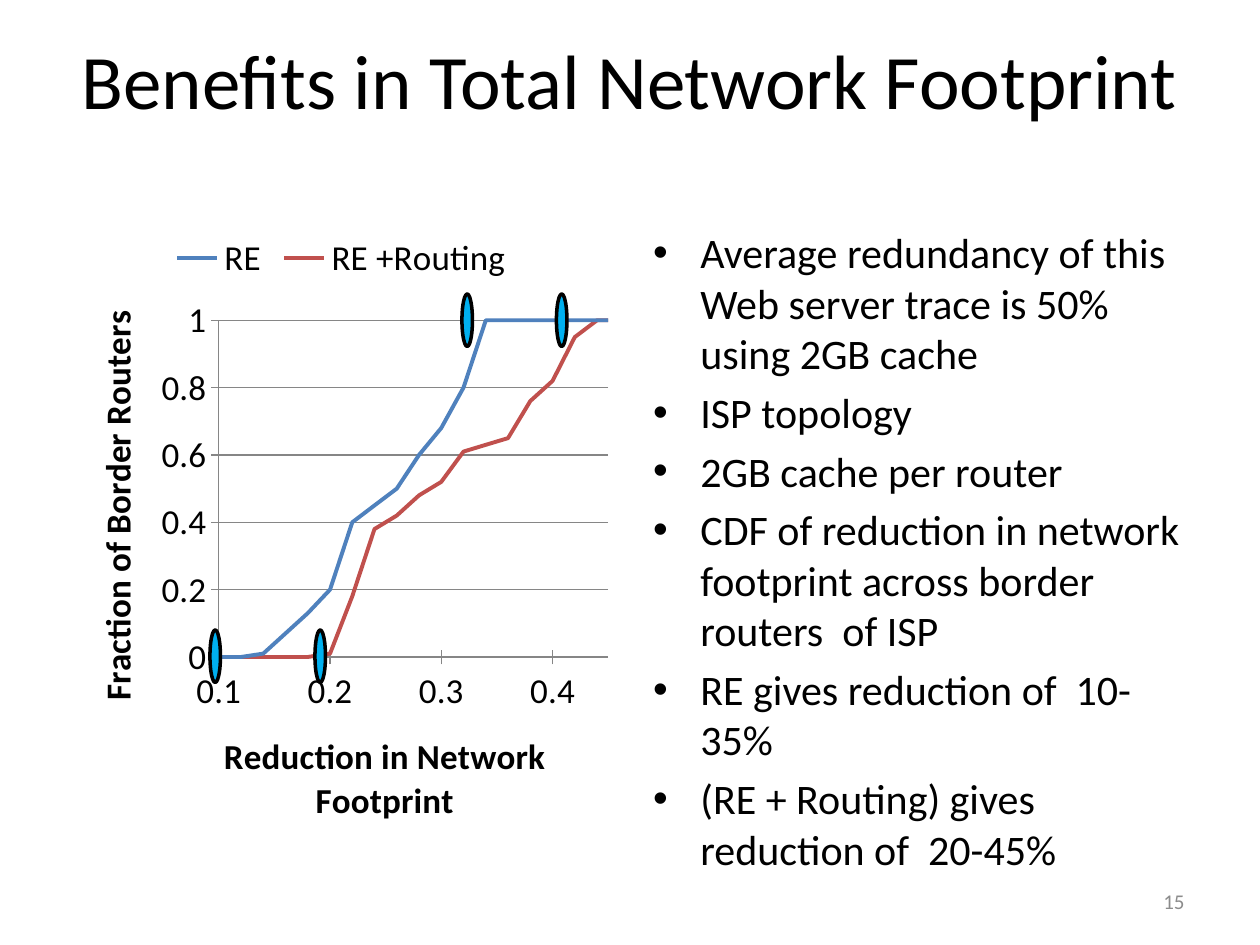
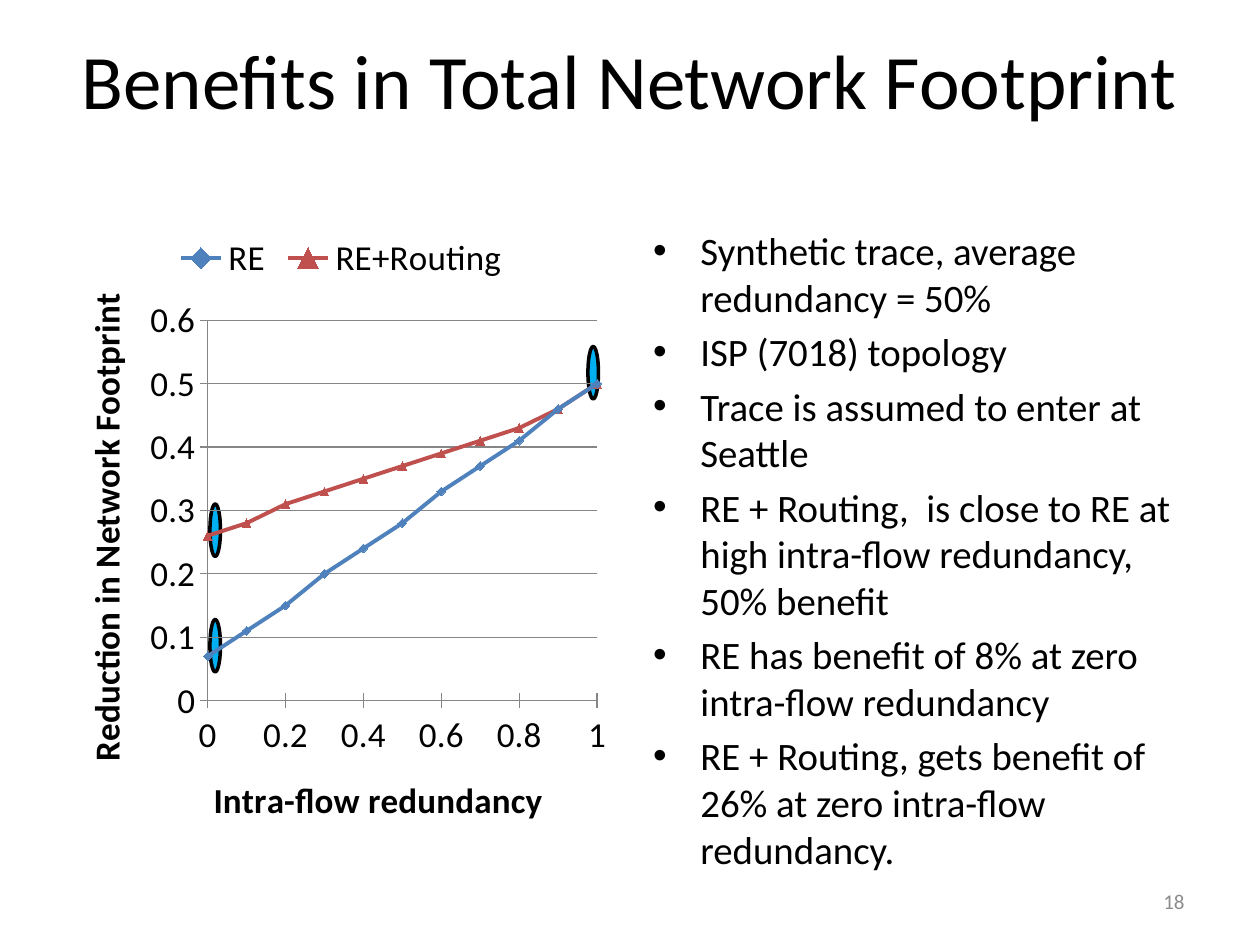
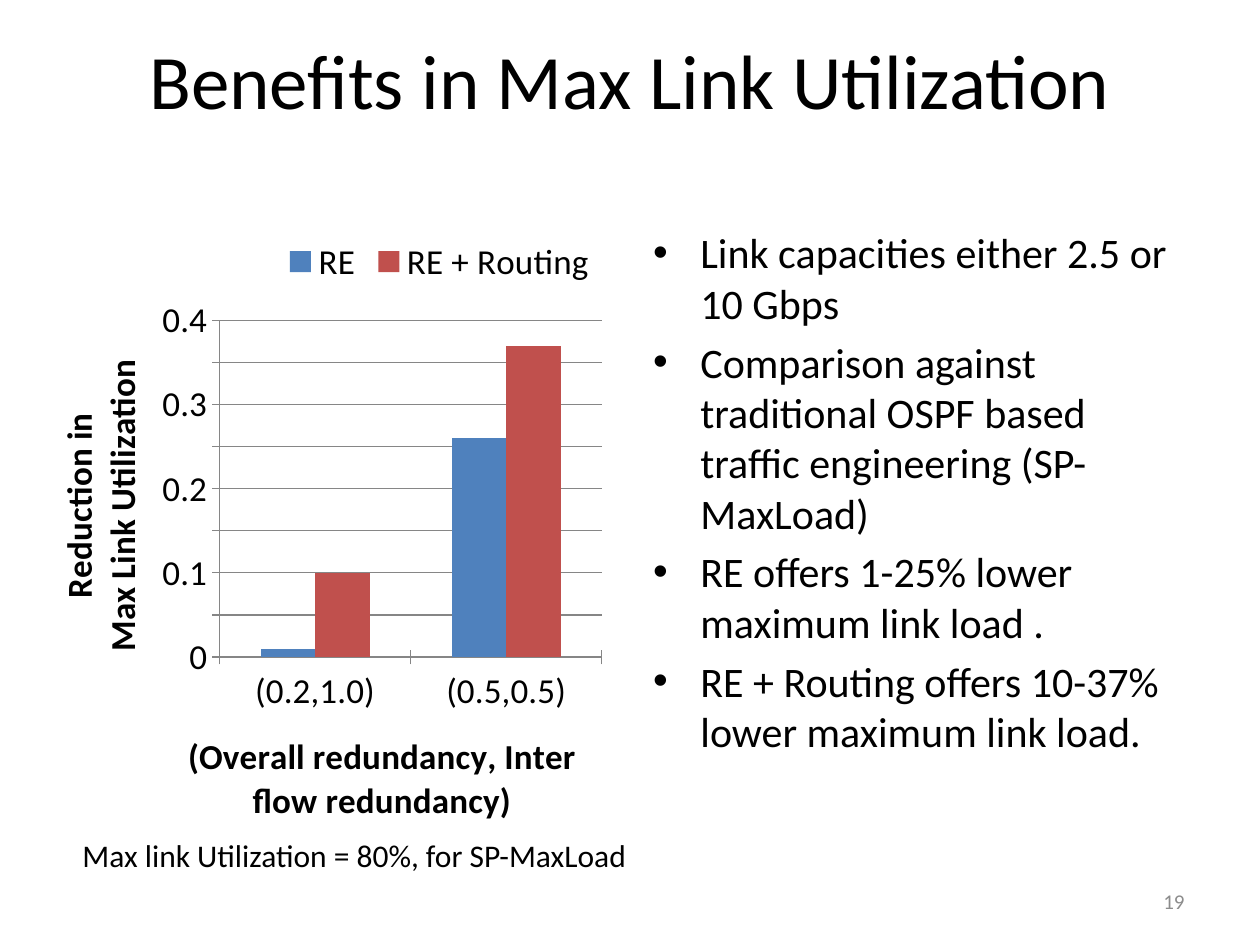
from dataclasses import dataclass
from pptx import Presentation, util as u
from pptx.chart import data
from pptx.dml.color import RGBColor
from pptx.enum import chart as kinds, shapes, text
from pptx.oxml import parse_xml
from pptx.oxml.ns import nsdecls, qn


@dataclass(frozen=True)
class Theme:
    font: str = "Calibri"
    ink: str = "000000"
    grey: str = "8C8C8C"
    grid: str = "868686"
    mark: str = "00B0F0"
    hues: tuple = ("4F81BD", "C0504D")
    title: float = 44
    body: float = 24
    chart: float = 20
    note: float = 18
    page: float = 12


def tint(code):
    return RGBColor.from_string(code)


def write(frame, lines, size, color, font, align=None, anchor=None, bold=None):
    frame.text = "\n".join(lines)
    if anchor is not None:
        frame.vertical_anchor = anchor
    for para in frame.paragraphs:
        if align is not None:
            para.alignment = align
        for run in para.runs:
            run.font.size = u.Pt(size)
            run.font.name = font
            run.font.bold = bold
            run.font.color.rgb = tint(color)


def layout(inner=False, **sides):
    target = '<c:layoutTarget val="inner"/>' if inner else ""
    modes = "".join(f'<c:{k}Mode val="edge"/>' for k in "xy")
    spots = "".join(f'<c:{k} val="{v}"/>' for k, v in sides.items())
    return parse_xml(f'<c:layout {nsdecls("c")}><c:manualLayout>{target}{modes}'
                     f'{spots}</c:manualLayout></c:layout>')


def clear():
    return parse_xml(f'<c:spPr {nsdecls("c", "a")}><a:noFill/>'
                     '<a:ln><a:noFill/></a:ln></c:spPr>')


class Deck:
    def __init__(self, theme):
        self.theme = theme
        self.file = Presentation()
        self.file.slide_width, self.file.slide_height = u.Pt(720), u.Pt(540)
        self.slide = None

    def page(self, title, points, number, size=None):
        look = self.theme
        self.slide = self.file.slides.add_slide(self.file.slide_layouts[1])
        head, body = self.slide.placeholders
        self.move(head, 30, 0, 660, 90)
        write(head.text_frame, [title], look.title, look.ink, look.font,
              align=text.PP_ALIGN.CENTER, anchor=text.MSO_ANCHOR.MIDDLE)
        self.move(body, 366, 126, 318, 356.4)
        body.text_frame.auto_size = text.MSO_AUTO_SIZE.NONE
        write(body.text_frame, points, size or look.body, look.ink, look.font)
        self.label(str(number), 516, 500.4, 168, look.page, look.grey,
                   align=text.PP_ALIGN.RIGHT, anchor=text.MSO_ANCHOR.MIDDLE)

    def move(self, shape, *box):
        shape.left, shape.top, shape.width, shape.height = map(u.Pt, box)

    def label(self, words, left, top, width, size, color, **style):
        box = self.slide.shapes.add_textbox(*map(u.Pt, (left, top, width, 28.8)))
        box.text_frame.word_wrap = True
        write(box.text_frame, [words], size, color, self.theme.font, **style)

    def rings(self, *spots):
        for left, top in spots:
            ring = self.slide.shapes.add_shape(
                shapes.MSO_SHAPE.OVAL, *map(u.Pt, (left, top, 6, 30)))
            ring.shadow.inherit = False
            ring.fill.solid()
            ring.fill.fore_color.rgb = tint(self.theme.mark)
            ring.line.color.rgb = tint(self.theme.ink)
            ring.line.width = u.Pt(2)

    def axis(self, axis, title, grid, low=None, high=None, step=None):
        look = self.theme
        axis.has_major_gridlines = grid
        if grid:
            axis.major_gridlines.format.line.color.rgb = tint(look.grid)
        axis.format.line.color.rgb = tint(look.grid)
        axis.major_tick_mark = kinds.XL_TICK_MARK.CROSS
        axis.tick_labels.font.size = u.Pt(look.chart)
        if step:
            axis.minimum_scale, axis.maximum_scale = low, high
            axis.major_unit = step
            axis.tick_labels.number_format = "General"
            axis.tick_labels.number_format_is_linked = False
        write(axis.axis_title.text_frame, title, look.chart, look.ink,
              look.font, bold=True)

    def graph(self, kind, table, across, upward, area, left=36, width=318):
        look = self.theme
        graph = self.slide.shapes.add_chart(
            kind, *map(u.Pt, (left, 126, width, 356.4)), table).chart
        graph.has_title = False
        graph.font.size = u.Pt(10)
        graph.font.name = look.font
        graph.font.color.rgb = tint(look.ink)
        graph.has_legend = True
        graph.legend.position = kinds.XL_LEGEND_POSITION.TOP
        graph.legend.include_in_layout = False
        graph.legend.font.size = u.Pt(look.chart)
        self.axis(graph.category_axis, grid=False, **across)
        self.axis(graph.value_axis, grid=True, **upward)
        root = graph.element.find(qn("c:chart"))
        root.addnext(clear())
        plot = root.find(qn("c:plotArea"))
        old = plot.find(qn("c:layout"))
        if old is not None:
            plot.remove(old)
        plot.insert(0, layout(inner=True, **area))
        plot.append(clear())
        graph.plots[0].vary_by_categories = False
        return graph

    def curves(self, kind, steps, series, *, signs=(), **parts):
        table = data.XyChartData()
        for name, values in series.items():
            line = table.add_series(name)
            for x, y in zip(steps, values):
                line.add_data_point(x, y)
        graph = self.graph(kind, table, **parts)
        for line, hue in zip(graph.plots[0].series, self.theme.hues):
            line.smooth = False
            line.format.line.color.rgb = tint(hue)
            line.format.line.width = u.Pt(2.25)
        for line, sign, hue in zip(graph.plots[0].series, signs, self.theme.hues):
            line.marker.style = sign
            line.marker.size = 5
            line.marker.format.fill.solid()
            line.marker.format.fill.fore_color.rgb = tint(hue)
            line.marker.format.line.color.rgb = tint(hue)

    def bars(self, groups, series, key, **parts):
        table = data.CategoryChartData()
        table.categories = groups
        for name, values in series.items():
            table.add_series(name, values)
        graph = self.graph(kinds.XL_CHART_TYPE.COLUMN_CLUSTERED, table, **parts)
        plot = graph.plots[0]
        plot.gap_width, plot.overlap = 150, 0
        for bar, hue in zip(plot.series, self.theme.hues):
            bar.format.fill.solid()
            bar.format.fill.fore_color.rgb = tint(hue)
        legend = graph.legend._element
        old = legend.find(qn("c:layout"))
        if old is not None:
            legend.remove(old)
        legend.find(qn("c:legendPos")).addnext(layout(**key))


look = Theme()
deck = Deck(look)
total = "Benefits in Total Network Footprint"
types = kinds.XL_CHART_TYPE
signs = kinds.XL_MARKER_STYLE

deck.page(total, [
    "Average redundancy of this Web server trace is 50% using 2GB cache",
    "ISP topology",
    "2GB cache per router",
    "CDF of reduction in network footprint across border routers  of ISP",
    "RE gives reduction of  10-35%",
    "(RE + Routing) gives reduction of  20-45%",
], 15)
deck.curves(
    types.XY_SCATTER_LINES_NO_MARKERS,
    [round(0.02 * i, 2) for i in range(24)],
    {"RE": [0] * 7 + [0.01, 0.07, 0.13, 0.2, 0.4, 0.45, 0.5, 0.6, 0.68, 0.8]
     + [1] * 7,
     "RE +Routing": [0] * 10 + [0.01, 0.18, 0.38, 0.42, 0.48, 0.52, 0.61, 0.63,
                                0.65, 0.76, 0.82, 0.95, 1, 1]},
    across=dict(title=["Reduction in Network Footprint"],
                low=0.1, high=0.45, step=0.1),
    upward=dict(title=["Fraction of Border Routers"], low=0, high=1, step=0.2),
    area=dict(x=0.28, y=0.16, w=0.7, h=0.54))
deck.rings((180, 360), (318, 168), (264, 168), (120, 360))

deck.page(total, [
    "Synthetic trace, average redundancy = 50%",
    "ISP (7018) topology",
    "Trace is assumed to enter at  Seattle",
    "RE + Routing,  is close to RE at high intra-flow redundancy, 50% benefit",
    "RE has benefit of 8% at zero intra-flow redundancy",
    "RE + Routing, gets benefit of 26% at zero intra-flow redundancy.",
], 18, size=22.2)
deck.rings((336, 198), (120, 354), (120, 288))
deck.curves(
    types.XY_SCATTER_LINES,
    [i / 10 for i in range(11)],
    {"RE": [0.07, 0.11, 0.15, 0.2, 0.24, 0.28, 0.33, 0.37, 0.41, 0.46, 0.5],
     "RE+Routing": [0.26, 0.28, 0.31, 0.33, 0.35, 0.37, 0.39, 0.41, 0.43,
                    0.46, 0.5]},
    signs=(signs.DIAMOND, signs.TRIANGLE),
    across=dict(title=["Intra-flow redundancy"], low=0, high=1, step=0.2),
    upward=dict(title=["Reduction in Network Footprint"],
                low=0, high=0.6, step=0.1),
    area=dict(x=0.26, y=0.16, w=0.7, h=0.61))

deck.page("Benefits in Max Link Utilization", [
    "Link capacities either 2.5 or 10 Gbps",
    "Comparison against traditional OSPF based traffic engineering (SP-MaxLoad)",
    "RE offers 1-25% lower maximum link load .",
    "RE + Routing offers 10-37% lower maximum link load.",
], 19)
deck.label(" Max link Utilization = 80%, for SP-MaxLoad", 36, 474, 336,
           look.note, look.ink)
deck.bars(
    ["(0.2,1.0)", "(0.5,0.5)"],
    {"RE": [0.01, 0.26], "RE + Routing": [0.1, 0.37]},
    key=dict(x=0.42, y=0.02),
    across=dict(title=["(Overall redundancy, Inter flow redundancy)"]),
    upward=dict(title=["Reduction in", "Max Link Utilization"],
                low=0, high=0.4, step=0.05),
    area=dict(x=0.32, y=0.16, w=0.65, h=0.54),
    left=18, width=336)

deck.file.save("out.pptx")
